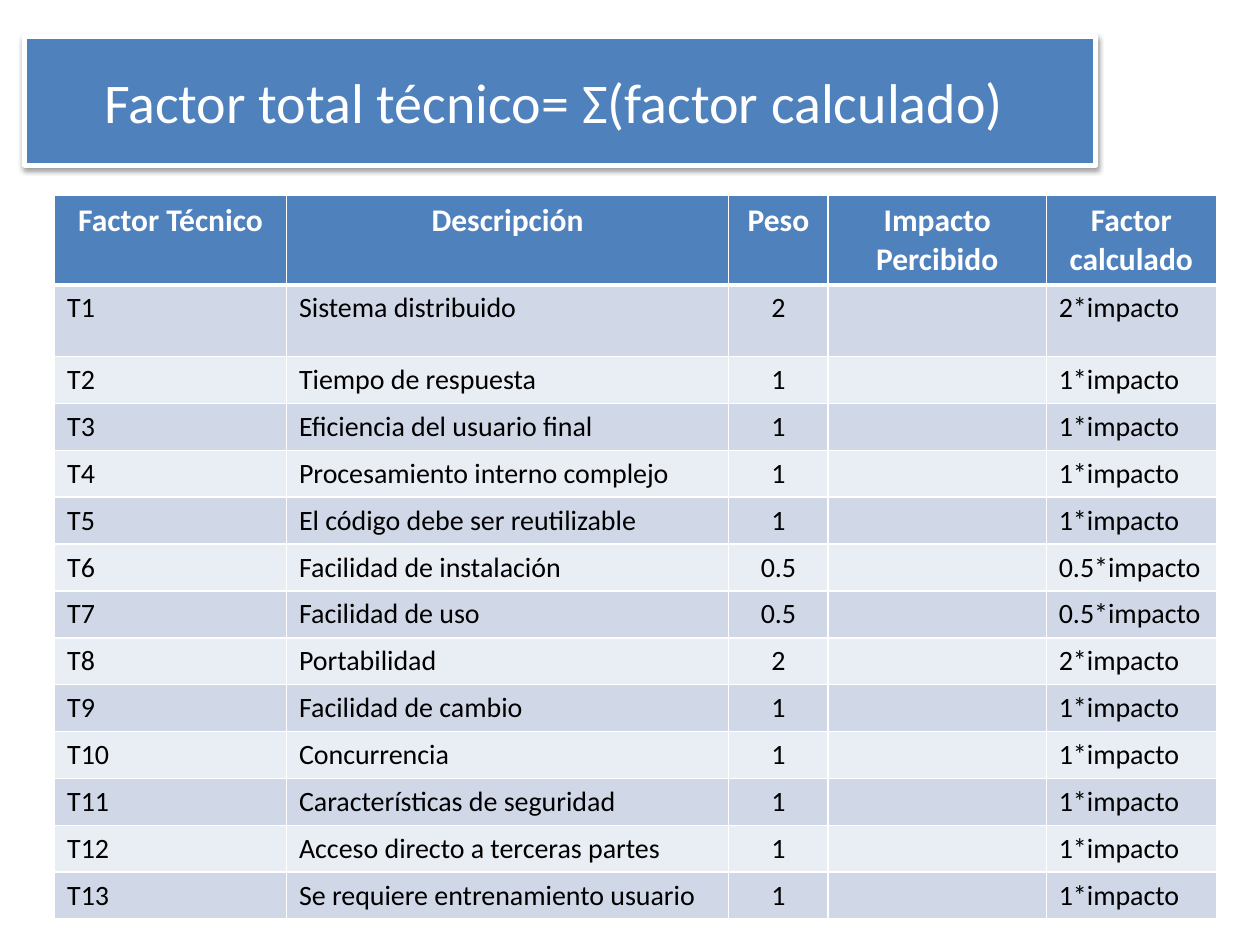
from lxml import etree
from pptx import Presentation
from pptx.dml.color import RGBColor
from pptx.enum.text import MSO_ANCHOR, MSO_AUTO_SIZE, PP_ALIGN
from pptx.oxml import parse_xml
from pptx.oxml.ns import nsdecls, qn
from pptx.util import Pt

LEFT, CENTER = PP_ALIGN.LEFT, PP_ALIGN.CENTER
MIDDLE = MSO_ANCHOR.MIDDLE
NO_AUTOFIT = MSO_AUTO_SIZE.NONE
TITLE_ONLY = 5

FONT = "Calibri"
WHITE = RGBColor(0xFF, 0xFF, 0xFF)
BLACK = RGBColor(0x00, 0x00, 0x00)
BLUE = RGBColor(0x4F, 0x81, 0xBD)
BAND_DARK = RGBColor(0xD0, 0xD8, 0xE8)
BAND_LIGHT = RGBColor(0xE9, 0xED, 0xF4)

HEADERS = ["Factor Técnico", "Descripción", "Peso", "Impacto Percibido", "Factor calculado"]
FACTORS = [
    ("Sistema distribuido", "2"),
    ("Tiempo de respuesta", "1"),
    ("Eficiencia del usuario final", "1"),
    ("Procesamiento interno complejo", "1"),
    ("El código debe ser reutilizable", "1"),
    ("Facilidad de instalación", "0.5"),
    ("Facilidad de uso", "0.5"),
    ("Portabilidad", "2"),
    ("Facilidad de cambio", "1"),
    ("Concurrencia", "1"),
    ("Características de seguridad", "1"),
    ("Acceso directo a terceras partes", "1"),
    ("Se requiere entrenamiento usuario", "1"),
]
COL_WIDTHS = [132.5, 252.7, 56.9, 124.6, 97.2]
HEADER_HEIGHT, FIRST_HEIGHT, ROW_HEIGHT = 51, 41, 26.8
WEIGHT_COL = 2


def write_text(tf, text, size=16, color=BLACK, bold=False, align=LEFT):
    p = tf.paragraphs[0]
    p.alignment = align
    if not text:
        etree.SubElement(p._p, qn("a:endParaRPr"), sz=str(size * 100))
        return
    r = p.add_run()
    r.text = text
    r.font.name = FONT
    r.font.size = Pt(size)
    r.font.bold = bold
    r.font.color.rgb = color


def add_shadow(sp, blur, distance, opacity):
    sp._element.spPr.append(parse_xml(
        f'<a:effectLst {nsdecls("a")}>'
        f'<a:outerShdw blurRad="{Pt(blur)}" dist="{Pt(distance)}" dir="5400000" rotWithShape="0">'
        f'<a:srgbClr val="{BLACK}"><a:alpha val="{opacity * 1000}"/></a:srgbClr>'
        '</a:outerShdw></a:effectLst>'))


def set_borders(cell, top=1, bottom=1):
    widths = {"lnL": 1, "lnR": 1, "lnT": top, "lnB": bottom}
    tc_pr = cell._tc.get_or_add_tcPr()
    for i, (tag, width) in enumerate(widths.items()):
        tc_pr.insert(i, parse_xml(
            f'<a:{tag} {nsdecls("a")} w="{Pt(width)}"><a:solidFill>'
            f'<a:srgbClr val="{WHITE}"/></a:solidFill></a:{tag}>'))


def place_title(s, left, top, width, height):
    sp = s.shapes.title
    sp.left, sp.top, sp.width, sp.height = Pt(left), Pt(top), Pt(width), Pt(height)
    sp.fill.solid()
    sp.fill.fore_color.rgb = BLUE
    sp.line.color.rgb = WHITE
    sp.line.width = Pt(3)
    add_shadow(sp, blur=3.1, distance=1.6, opacity=38)
    tf = sp.text_frame
    tf.word_wrap = True
    tf.auto_size = NO_AUTOFIT
    tf.vertical_anchor = MIDDLE
    write_text(tf, "Factor total técnico= Σ(factor calculado) ", size=32, color=WHITE, align=CENTER)


def place_factor_table(s, left, top, width, height):
    rows = [HEADERS] + [
        (f"T{n}", description, weight, "", f"{weight}*impacto")
        for n, (description, weight) in enumerate(FACTORS, 1)
    ]
    table = s.shapes.add_table(
        len(rows), len(HEADERS), Pt(left), Pt(top), Pt(width), Pt(height)).table
    for column, share in zip(table.columns, COL_WIDTHS):
        column.width = Pt(width * share / sum(COL_WIDTHS))
    heights = [HEADER_HEIGHT, FIRST_HEIGHT] + [ROW_HEIGHT] * (len(rows) - 2)
    for i, values in enumerate(rows):
        table.rows[i].height = Pt(height * heights[i] / sum(heights))
        header = i == 0
        fill = BLUE if header else BAND_DARK if i % 2 else BAND_LIGHT
        for j, value in enumerate(values):
            cell = table.cell(i, j)
            cell.fill.solid()
            cell.fill.fore_color.rgb = fill
            set_borders(cell, top=3 if i == 1 else 1, bottom=3 if header else 1)
            write_text(
                cell.text_frame, value,
                size=18 if header else 16,
                color=WHITE if header else BLACK,
                bold=header,
                align=CENTER if header or j == WEIGHT_COL else LEFT)


def main():
    prs = Presentation()
    prs.slide_width, prs.slide_height = Pt(720), Pt(540)
    s = prs.slides.add_slide(prs.slide_layouts[TITLE_ONLY])
    place_title(s, 14.2, 21, 612, 73.4)
    place_factor_table(s, 31.2, 111.6, 663.9, 413.6)
    prs.save("out.pptx")


if __name__ == "__main__":
    main()
